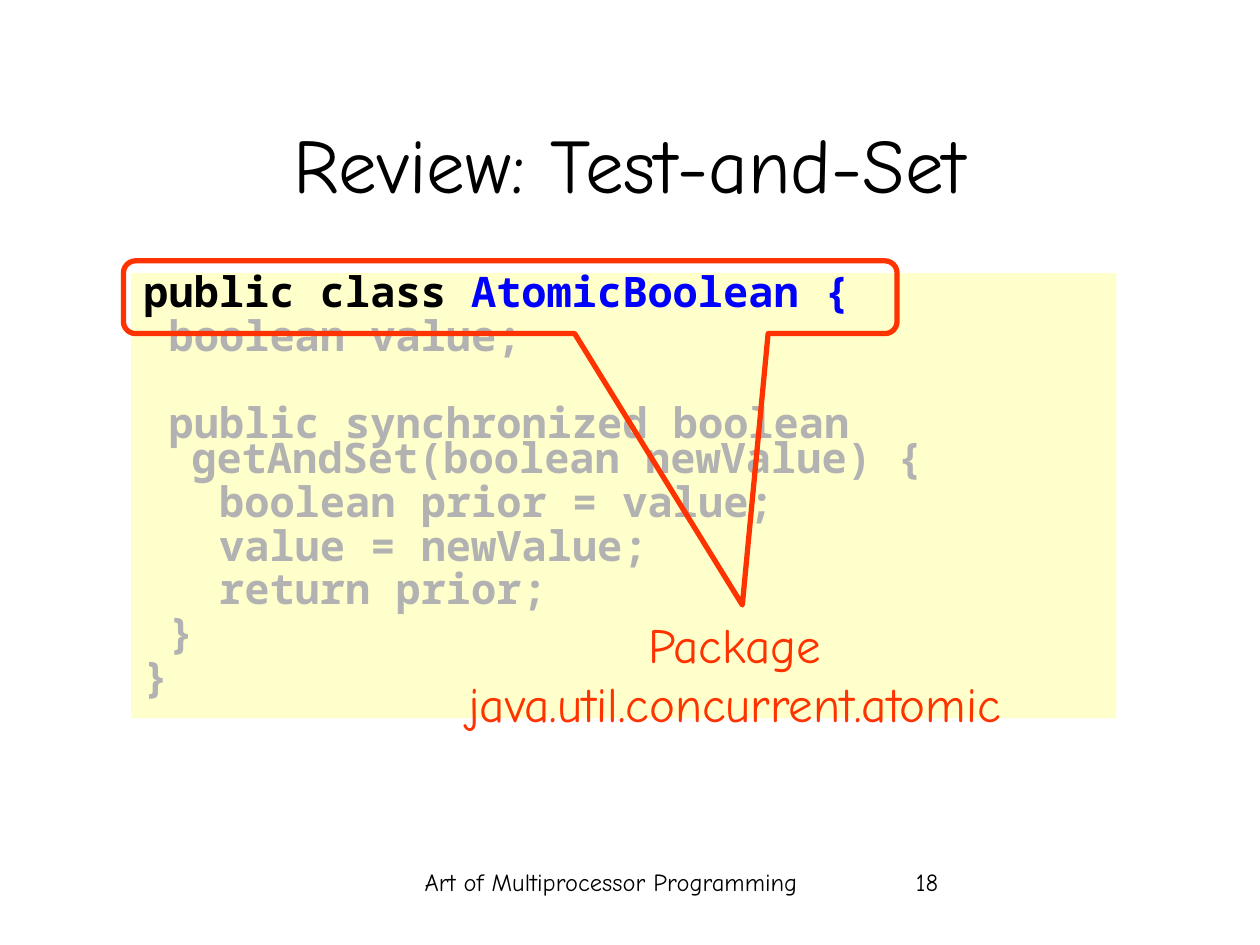
from pptx import Presentation
from pptx.dml.color import RGBColor
from pptx.enum.shapes import MSO_SHAPE as Shape
from pptx.enum.text import MSO_ANCHOR as Anchor, PP_ALIGN as Align
from pptx.util import Inches, Pt

WIDTH, HEIGHT = Inches(10), Inches(7.5)
COLORS = {"ink": "000000", "name": "0000FF", "faded": "B2B2B2",
          "paper": "FFFFCC", "accent": "FF3300"}
PROSE, MONO = "Comic Neue", "Noto Sans Mono"
LINE_GAP, BLOCK_GAP = 4.8, 29.8
CODE = [
    (0, [("public class", "ink"), (" AtomicBoolean {", "name")]),
    (LINE_GAP, [(" boolean value;", "faded")]),
    (BLOCK_GAP, [(" public synchronized boolean getAndSet(boolean newValue) {", "faded")]),
    (LINE_GAP, [("   boolean prior = value;", "faded")]),
    (LINE_GAP, [("   value = newValue;", "faded")]),
    (LINE_GAP, [("   return prior;", "faded")]),
    (LINE_GAP, [(" }", "faded")]),
    (LINE_GAP, [("}", "faded")]),
]


def color(key):
    """Return the palette colour called key."""
    return RGBColor.from_string(COLORS[key])


def area(left, top, width, height):
    """Turn shares of the slide's size into a position and a size."""
    return (int(WIDTH * left), int(HEIGHT * top),
            int(WIDTH * width), int(HEIGHT * height))


def add_span(para, text, size, key, font=PROSE, bold=False):
    """Add one formatted run to a paragraph."""
    span = para.add_run()
    span.text = text
    span.font.name, span.font.size, span.font.bold = font, Pt(size), bold
    span.font.color.rgb = color(key)


def paragraphs(frame, count):
    """Yield count paragraphs of a frame, starting with its first."""
    for index in range(count):
        yield frame.add_paragraph() if index else frame.paragraphs[0]


def set_title(page, text, place):
    """Move and fill the title placeholder."""
    title = page.shapes.title
    title.left, title.top, title.width, title.height = place
    frame = title.text_frame
    frame.vertical_anchor = Anchor.MIDDLE
    para = frame.paragraphs[0]
    para.alignment = Align.CENTER
    add_span(para, text, 44, "ink")


def add_label(page, lines, place, size, key="ink", align=Align.CENTER):
    """Add a text box with one paragraph for each line."""
    frame = page.shapes.add_textbox(*place).text_frame
    frame.word_wrap = True
    for para, line in zip(paragraphs(frame, len(lines)), lines):
        para.alignment = align
        add_span(para, line, size, key)


def add_code(page, listing, place):
    """Add a filled panel that holds a code listing with hanging indents."""
    panel = page.shapes.add_shape(Shape.RECTANGLE, *place)
    panel.shadow.inherit = False
    panel.fill.solid()
    panel.fill.fore_color.rgb = color("paper")
    panel.line.fill.background()
    frame = panel.text_frame
    frame.word_wrap = True
    frame.vertical_anchor = Anchor.TOP
    for para, (gap, spans) in zip(paragraphs(frame, len(listing)), listing):
        properties = para._p.get_or_add_pPr()
        properties.set("marL", str(Inches(0.38)))
        properties.set("indent", str(-Inches(0.38)))
        para.alignment = Align.LEFT
        para.line_spacing = 0.7
        para.space_before = Pt(gap)
        for text, key in spans:
            add_span(para, text, 24, key, MONO, True)


def add_callout(page, place, tip):
    """Outline an area with a callout whose tip is a share of its size."""
    callout = page.shapes.add_shape(Shape.ROUNDED_RECTANGULAR_CALLOUT, *place)
    callout.shadow.inherit = False
    callout.fill.background()
    callout.line.color.rgb = color("accent")
    callout.line.width = Pt(3)
    callout.adjustments[0], callout.adjustments[1] = tip


def main():
    """Build the slide and save it."""
    deck = Presentation()
    deck.slide_width, deck.slide_height = WIDTH, HEIGHT
    page = deck.slides.add_slide(deck.slide_layouts[5])
    add_label(page, ["Art of Multiprocessor Programming"],
              area(0.289, 0.911, 0.392, 0.067), 14)
    add_label(page, ["18"], area(0.717, 0.911, 0.208, 0.067), 14, align=Align.LEFT)
    set_title(page, "Review: Test-and-Set", area(0.075, 0.089, 0.85, 0.167))
    add_code(page, CODE, area(0.104, 0.289, 0.782, 0.471))
    add_callout(page, area(0.098, 0.276, 0.614, 0.077), (0.3, 4.23))
    add_label(page, ["Package", "java.util.concurrent.atomic"],
              area(0.277, 0.644, 0.612, 0.137), 28, "accent")
    deck.save("out.pptx")


if __name__ == "__main__":
    main()
